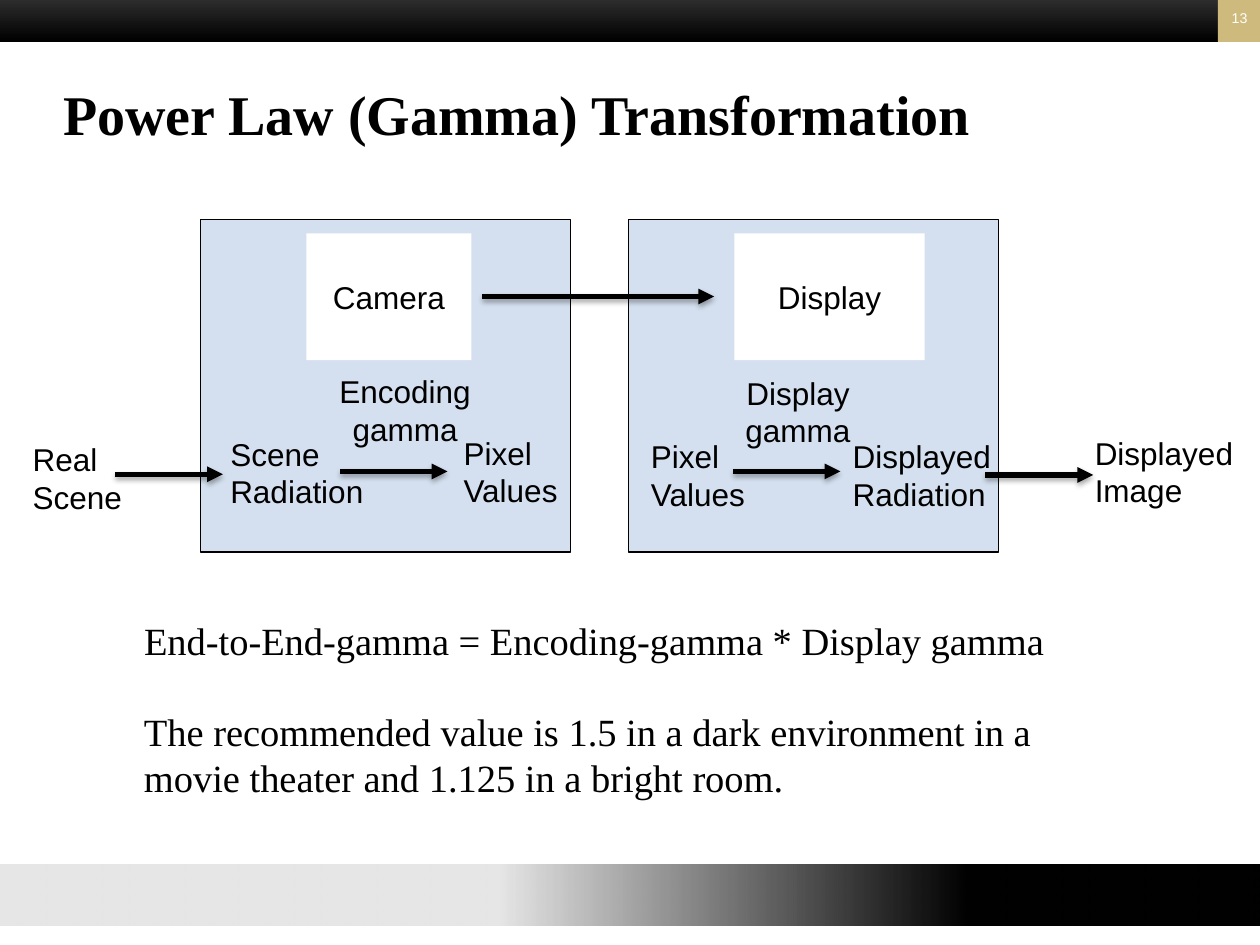
from lxml.etree import SubElement
from pptx import Presentation
from pptx.dml.color import RGBColor
from pptx.enum.shapes import MSO_CONNECTOR, MSO_SHAPE
from pptx.enum.text import MSO_ANCHOR, PP_ALIGN
from pptx.oxml import parse_xml
from pptx.oxml.ns import nsdecls, qn
from pptx.util import Pt

INK = {"black": "000000", "white": "FFFFFF", "dark": "333333",
       "gold": "CFBA7D", "blue": "4F81BD"}
SANS, SERIF = "Arial", "Times New Roman"
SHADE = (f'<a:effectLst {nsdecls("a")}><a:outerShdw blurRad="39370" '
         'dist="22860" dir="5400000" rotWithShape="0"><a:srgbClr '
         f'val="{INK["black"]}"><a:alpha val="35000"/></a:srgbClr>'
         '</a:outerShdw></a:effectLst>')


def tint(name):
    return RGBColor.from_string(INK[name])


def fade(fill, part):
    color = next(fill.iter(qn("a:srgbClr")))
    SubElement(color, qn("a:alpha")).set("val", str(part * 1000))


def style(frame, text, size, font, color="black", align=PP_ALIGN.LEFT, bold=False):
    frame.text = text
    for para in frame.paragraphs:
        para.alignment = align
        for run in para.runs:
            run.font.size, run.font.name = Pt(size), font
            run.font.bold = bold
            run.font.color.rgb = tint(color)


def label(slide, box, text, size=18, font=SANS, align=PP_ALIGN.LEFT):
    frame = slide.shapes.add_textbox(*map(Pt, box)).text_frame
    frame.word_wrap = True
    style(frame, text, size, font, align=align)
    return frame


def block(slide, box, fill=None, line=None, kind=MSO_SHAPE.RECTANGLE):
    shape = slide.shapes.add_shape(kind, *map(Pt, box))
    shape.shadow.inherit = False
    if fill:
        shape.fill.solid()
        shape.fill.fore_color.rgb = tint(fill)
    if line:
        shape.line.color.rgb = tint(line)
        shape.line.width = Pt(0.75)
    else:
        shape.line.fill.background()
    return shape


def blend(shape, angle, stops):
    shape.fill.gradient()
    shape.fill.gradient_angle = angle
    for stop, (place, color) in zip(shape.fill.gradient_stops, stops):
        stop.position = place
        stop.color.rgb = tint(color)


def arrow(slide, left, top, width):
    line = slide.shapes.add_connector(
        MSO_CONNECTOR.STRAIGHT, Pt(left), Pt(top), Pt(left + width), Pt(top))
    line.line.color.rgb = tint("black")
    line.line.width = Pt(3)
    SubElement(line.line._get_or_add_ln(), qn("a:tailEnd")).set("type", "triangle")
    line._element.spPr.append(parse_xml(SHADE))


def header(slide, box, number):
    left, top, width, height = box
    tab = 24
    bar = block(slide, (left, top, width - tab, height))
    blend(bar, 270, [(0, "dark"), (1, "black")])
    spot = (left + width - tab, top, tab, height)
    block(slide, spot, "gold")
    frame = slide.shapes.add_textbox(*map(Pt, spot)).text_frame
    frame.word_wrap = False
    frame.vertical_anchor = MSO_ANCHOR.MIDDLE
    style(frame, number, 8.1, SANS, "white", PP_ALIGN.RIGHT)


def footer(slide, box):
    bar = block(slide, box, line="white", kind=MSO_SHAPE.ROUNDED_RECTANGLE)
    bar.adjustments[0] = 0
    blend(bar, 0, [(0.4, "black"), (0.76, "black")])
    fade(bar._element.spPr, 10)


def heading(slide, box, text):
    title = slide.shapes.title
    title.left, title.top, title.width, title.height = map(Pt, box)
    frame = title.text_frame
    frame.margin_left = 0
    frame.vertical_anchor = MSO_ANCHOR.MIDDLE
    style(frame, text, 32, SERIF, bold=True)


def panel(slide, box, name, wide, gamma, start, end):
    left, top, width, height = box
    back = block(slide, box, "blue", "black")
    fade(back._element.spPr, 24)
    card = block(slide, (left + 60.5, top + 8, wide, 72.5), "white")
    card.text_frame.vertical_anchor = MSO_ANCHOR.MIDDLE
    style(card.text_frame, name, 18, SANS, align=PP_ALIGN.CENTER)
    for (text, x, y), align in ((start, PP_ALIGN.LEFT), (end, PP_ALIGN.LEFT),
                                (gamma, PP_ALIGN.CENTER)):
        label(slide, (left + x, top + y, 108.7, 51), text, align=align)
    arrow(slide, left + gamma[1] + 17.4, top + 144, 61.2)


def flow(slide, box):
    left, top, width, height = box
    wide = 211.7
    panel(slide, (left, top, wide, height), "Camera", 94.3,
          ("Encoding gamma", 62.6, 83.5), ("Scene Radiation", 10, 119.4),
          ("Pixel Values", 143.3, 118.8))
    panel(slide, (left + width - wide, top, wide, height), "Display", 108.7,
          ("Display gamma", 42.5, 84.5), ("Pixel Values", 5.8, 120.8),
          ("Displayed\nRadiation", 121, 120.8))
    label(slide, (left - 103, top + 122.6, 75.6, 51), "Real Scene")
    label(slide, (left + 504, top + 118.8, 102.2, 51), "Displayed Image")
    arrow(slide, left - 48.5, top + 145.6, 61.4)
    arrow(slide, left + 448.6, top + 146, 61.6)
    arrow(slide, left + 161, top + 44, 132.6)


def notes(slide, box):
    left, top, width, height = box
    label(slide, (left, top, width, 34),
          "End-to-End-gamma = Encoding-gamma * Display gamma", 22, SERIF)
    label(slide, (left, top + 52, width - 18, height - 52),
          "The recommended value is 1.5 in a dark environment in a "
          "movie theater and 1.125 in a bright room.", 22, SERIF)


def main():
    deck = Presentation()
    deck.slide_width, deck.slide_height = Pt(720), Pt(540)
    slide = deck.slides.add_slide(deck.slide_layouts[5])
    footer(slide, (-12, 493.5, 744, 36))
    header(slide, (0, -3.6, 720, 27.6), "13")
    heading(slide, (36, 37.5, 630, 54), "Power Law (Gamma) Transformation")
    flow(slide, (114.5, 125.4, 456.3, 190))
    notes(slide, (75.2, 349.2, 569.5, 112.5))
    deck.save("out.pptx")


if __name__ == "__main__":
    main()
